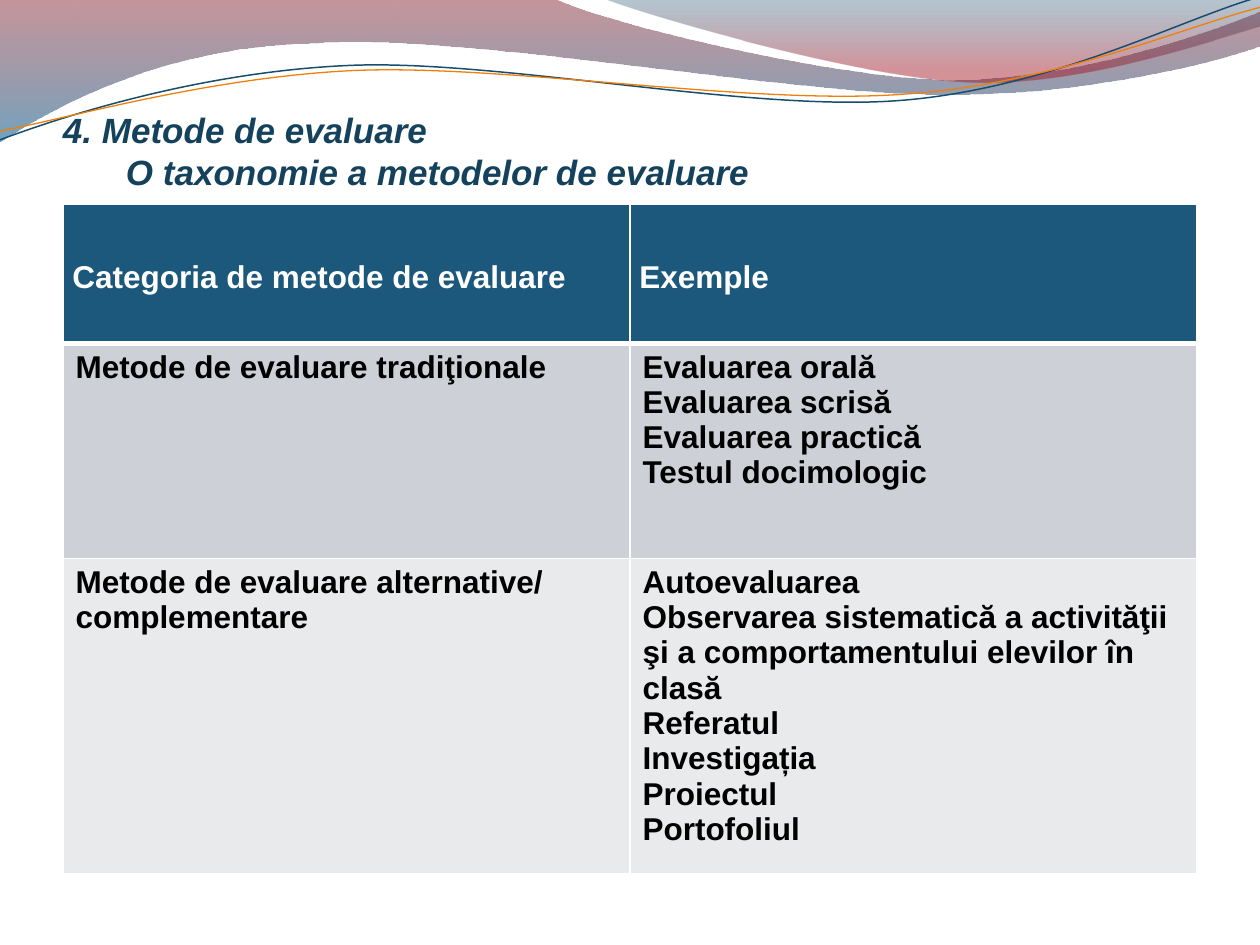
from pptx import Presentation
from pptx.dml.color import RGBColor
from pptx.enum.text import MSO_ANCHOR, PP_ALIGN
from pptx.oxml import parse_xml
from pptx.oxml.ns import nsdecls, qn
from pptx.oxml.xmlchemy import OxmlElement
from pptx.util import Cm, Pt

FONT = "Arial"
TITLE = "4. Metode de evaluare\v\tO taxonomie a metodelor de evaluare"
TABLE_ROWS = [
    (2.8, "1B587C", [["Categoria de metode de evaluare"], ["Exemple"]]),
    (4.34, "CDD1D7", [
        ["Metode de evaluare tradiţionale"],
        ["Evaluarea orală", "Evaluarea scrisă", "Evaluarea practică", "Testul docimologic"],
    ]),
    (4.34, "E8EAEC", [
        ["Metode de evaluare alternative/ complementare"],
        ["Autoevaluarea",
         "Observarea sistematică a activităţii şi a comportamentului elevilor în clasă",
         "Referatul", "Investigația", "Proiectul", "Portofoliul"],
    ]),
]
WAVES = [
    {"start": (0, 0), "stops": [(0, "7E1621", 45), (1, "005689", 55)], "segments": [
        [(11.18, -0.03)],
        [(12.09, 0.43), (16.87, 1.6), (19.25, 1.6)],
        [(21.67, 1.6), (24.33, 0.66), (25.4, 0.23)],
        [(25.43, 0.91)],
        [(24.97, 1.12), (22.1, 1.93), (18.95, 1.9)],
        [(15.8, 1.9), (9.7, 0.71), (6.53, 0.86)],
        [(3.28, 0.91), (1.17, 2.11), (-0.03, 2.87)]]},
    {"start": (12.17, -0.03), "stops": [(0, "094467", 30), (0.8, "A10F1F", 45)], "segments": [
        [(12.93, 0.28), (17.32, 1.57), (19.53, 1.65)],
        [(21.74, 1.75), (24.41, 0.81), (25.4, 0.53)],
        [(25.4, 0)]]},
    {"start": (0, 2.82), "line": ("184E6D", 0.85), "segments": [
        [(1.22, 2.36), (4.01, 1.45), (7.04, 1.32)],
        [(10.03, 1.19), (15.06, 2.26), (18.11, 2.03)],
        [(21.16, 1.8), (23.83, 0.38), (25.35, -0.05)]]},
    {"start": (0, 2.64), "line": ("F07F09", 0.75), "segments": [
        [(1.19, 2.44), (4.17, 1.55), (7.19, 1.42)],
        [(10.24, 1.3), (15.16, 2.13), (18.21, 1.9)],
        [(21.23, 1.7), (23.9, 0.53), (25.4, 0.15)]]},
]


def color(value):
    """Turn a hex string into a colour."""
    return RGBColor.from_string(value)


def bend(shape, segments):
    """Merge the straight pieces of each three-point segment into one curve."""
    pieces = iter(list(shape.element.iter(qn("a:lnTo"))))
    for segment in segments:
        group = [next(pieces) for _ in segment]
        if len(group) == 3:
            curve = OxmlElement("a:cubicBezTo")
            group[0].addprevious(curve)
            for piece in group:
                curve.append(piece[0])
                piece.getparent().remove(piece)


def add_wave(slide, wave):
    """Draw a gradient wave or a curved line."""
    points = [(Cm(x), Cm(y)) for segment in wave["segments"] for x, y in segment]
    builder = slide.shapes.build_freeform(*(Cm(value) for value in wave["start"]))
    builder.add_line_segments(points, close="stops" in wave)
    shape = builder.convert_to_shape()
    bend(shape, wave["segments"])
    shape.shadow.inherit = False
    if "line" in wave:
        line_color, width = wave["line"]
        shape.fill.background()
        shape.line.color.rgb = color(line_color)
        shape.line.width = Pt(width)
        return
    shape.line.fill.background()
    shape.fill.gradient()
    shape.fill.gradient_angle = 270
    for stop, (position, stop_color, _) in zip(shape.fill.gradient_stops, wave["stops"]):
        stop.position = position
        stop.color.rgb = color(stop_color)
    for element, (_, _, opacity) in zip(shape.element.iter(qn("a:srgbClr")), wave["stops"]):
        alpha = OxmlElement("a:alpha")
        alpha.set("val", str(opacity * 1000))
        element.append(alpha)


def style(paragraph, size, text_color, italic=False):
    """Set the font of a paragraph."""
    font = paragraph.font
    font.name, font.size, font.bold, font.italic = FONT, Pt(size), True, italic
    font.color.rgb = color(text_color)


def add_title(slide):
    """Add the two-line title."""
    box = slide.shapes.add_textbox(Cm(1.27), Cm(1.96), Cm(22.86), Cm(2.77))
    frame = box.text_frame
    frame.word_wrap = True
    frame.vertical_anchor = MSO_ANCHOR.BOTTOM
    frame.margin_left = frame.margin_right = 0
    frame.margin_bottom = Cm(0.85)
    paragraph = frame.paragraphs[0]
    paragraph.text = TITLE
    style(paragraph, 20, "14425D", italic=True)


def set_borders(cell, top, bottom):
    """Draw white borders around a cell."""
    for side, width in (("L", 1), ("R", 1), ("T", top), ("B", bottom)):
        cell._tc.get_or_add_tcPr().append(parse_xml(
            f'<a:ln{side} {nsdecls("a")} w="{Pt(width)}"><a:solidFill>'
            f'<a:srgbClr val="FFFFFF"/></a:solidFill></a:ln{side}>'))


def add_methods_table(slide):
    """Add the table of evaluation methods."""
    height = sum(row[0] for row in TABLE_ROWS)
    table = slide.shapes.add_table(
        len(TABLE_ROWS), 2, Cm(1.27), Cm(4.12), Cm(22.86), Cm(height)).table
    for row, (row_height, fill, contents) in enumerate(TABLE_ROWS):
        table.rows[row].height = Cm(row_height)
        header = row == 0
        for column, lines in enumerate(contents):
            cell = table.cell(row, column)
            set_borders(cell, 3 if row == 1 else 1, 3 if header else 1)
            cell.fill.solid()
            cell.fill.fore_color.rgb = color(fill)
            if header:
                cell.vertical_anchor = MSO_ANCHOR.MIDDLE
                cell.margin_left = cell.margin_right = Cm(0.19)
                cell.margin_top = cell.margin_bottom = 0
            cell.text_frame.text = "\n".join(lines)
            for paragraph in cell.text_frame.paragraphs:
                style(paragraph, 18, "FFFFFF" if header else "000000")
                if header:
                    paragraph.alignment = PP_ALIGN.JUSTIFY
                    paragraph.line_spacing = 1.2


presentation = Presentation()
presentation.slide_width, presentation.slide_height = Cm(25.4), Cm(19.05)
slide = presentation.slides.add_slide(presentation.slide_layouts[6])
for wave in WAVES:
    add_wave(slide, wave)
add_title(slide)
add_methods_table(slide)
presentation.save("out.pptx")
